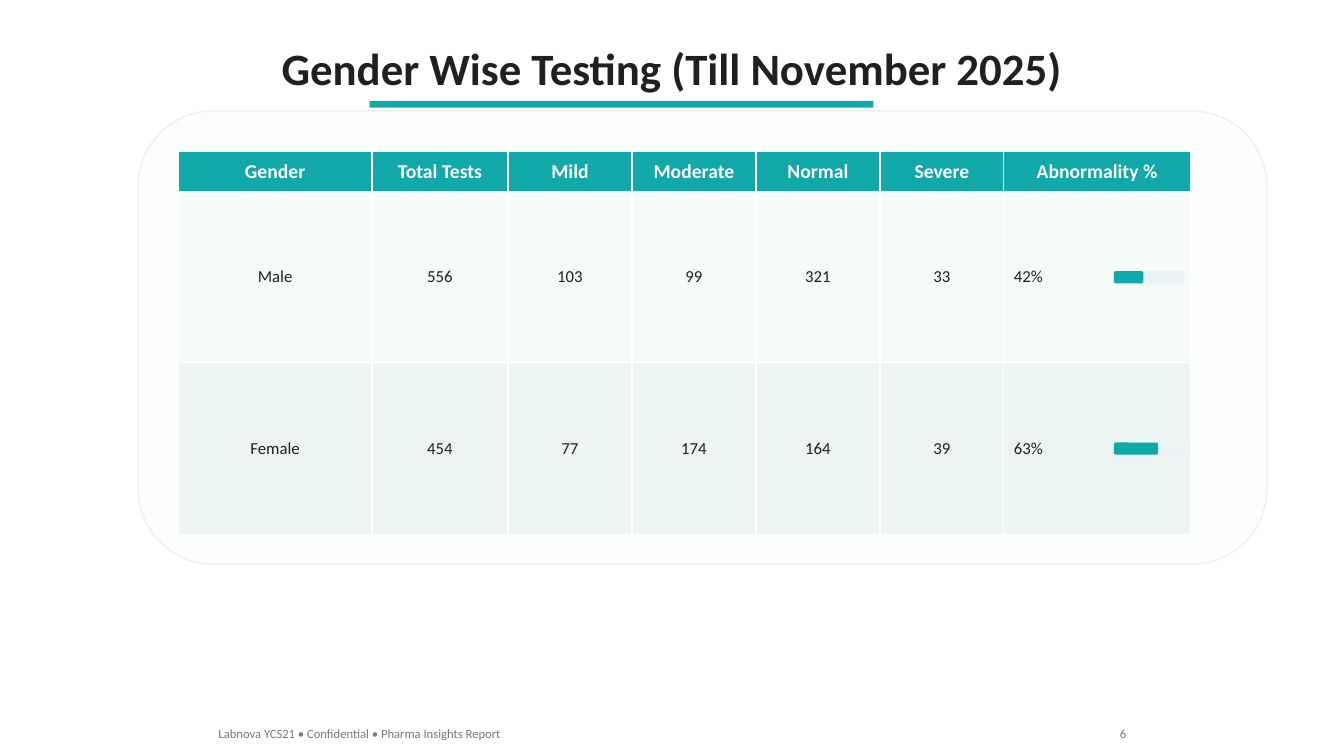
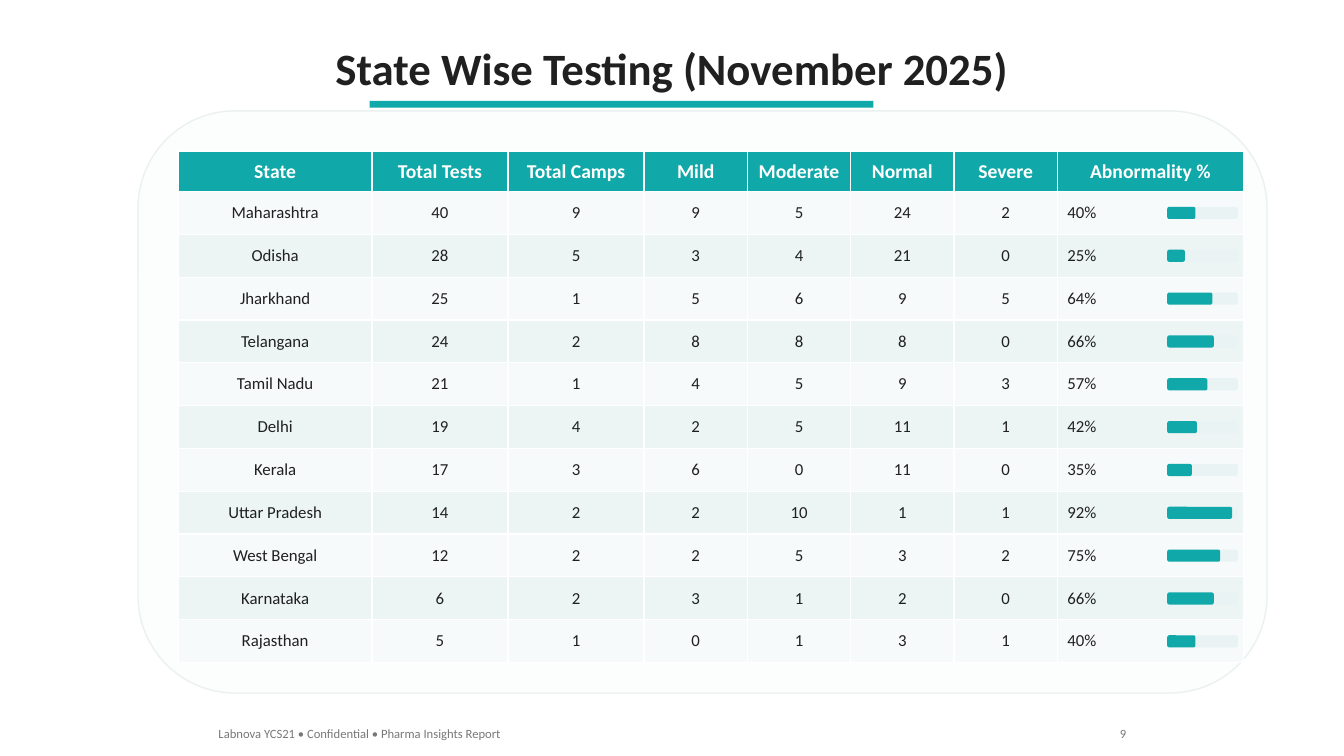
from pptx import Presentation
from pptx.dml.color import RGBColor
from pptx.enum.shapes import MSO_SHAPE
from pptx.enum.text import MSO_ANCHOR, MSO_AUTO_SIZE, PP_ALIGN
from pptx.util import Pt

WIDTH, HEIGHT = 960, 540
FONT = "Calibri"
TEAL, INK, GREY, WHITE = "10A8A8", "202020", "787878", "FFFFFF"
CARD, EDGE, TRACK = "FCFDFD", "EBF0F0", "EAF3F3"
BANDS = "F6FAFA", "ECF4F4"
FOOTER = "Labnova YCS21 • Confidential • Pharma Insights Report"

CARD_X, CARD_Y, CARD_W = 98.64, 79.2, 806.4
PAD, PAD_END = 28.8, 21.6
HEAD_H = 28.8
BAR_W, BAR_H, BAR_GAP = 50.4, 8.64, 4.32
NAME_W, TOTAL_W, RATE_W = 138.24, 97.2, 133.2

GENDERS = [
    ["Gender", "Total Tests", "Mild", "Moderate", "Normal", "Severe", "Abnormality %"],
    ["Male", 556, 103, 99, 321, 33, "42%"],
    ["Female", 454, 77, 174, 164, 39, "63%"],
]
STATES = [
    ["State", "Total Tests", "Total Camps", "Mild", "Moderate", "Normal", "Severe",
     "Abnormality %"],
    ["Maharashtra", 40, 9, 9, 5, 24, 2, "40%"],
    ["Odisha", 28, 5, 3, 4, 21, 0, "25%"],
    ["Jharkhand", 25, 1, 5, 6, 9, 5, "64%"],
    ["Telangana", 24, 2, 8, 8, 8, 0, "66%"],
    ["Tamil Nadu", 21, 1, 4, 5, 9, 3, "57%"],
    ["Delhi", 19, 4, 2, 5, 11, 1, "42%"],
    ["Kerala", 17, 3, 6, 0, 11, 0, "35%"],
    ["Uttar Pradesh", 14, 2, 2, 10, 1, 1, "92%"],
    ["West Bengal", 12, 2, 2, 5, 3, 2, "75%"],
    ["Karnataka", 6, 2, 3, 1, 2, 0, "66%"],
    ["Rajasthan", 5, 1, 0, 1, 3, 1, "40%"],
]


def paint(target, color):
    """Give a shape or a cell a solid fill."""
    target.fill.solid()
    target.fill.fore_color.rgb = RGBColor.from_string(color)


def write(frame, text, size, color, bold=False, align=PP_ALIGN.LEFT):
    frame.text = str(text)
    para = frame.paragraphs[0]
    para.alignment = align
    font = para.runs[0].font
    font.name, font.size, font.bold = FONT, Pt(size), bold
    font.color.rgb = RGBColor.from_string(color)


def add_box(slide, kind, x, y, w, h, fill, line=None):
    box = slide.shapes.add_shape(kind, Pt(x), Pt(y), Pt(w), Pt(h))
    box.shadow.inherit = False
    paint(box, fill)
    if line:
        box.line.color.rgb = RGBColor.from_string(line)
        box.line.width = Pt(1)
    else:
        box.line.fill.background()


def add_title(slide, text):
    title = slide.shapes.title
    title.left, title.top, title.width, title.height = Pt(48), Pt(25.2), Pt(WIDTH - 96), Pt(46)
    frame = title.text_frame
    frame.auto_size = MSO_AUTO_SIZE.NONE
    frame.vertical_anchor = MSO_ANCHOR.MIDDLE
    write(frame, text, 32, INK, True, PP_ALIGN.CENTER)
    add_box(slide, MSO_SHAPE.RECTANGLE, 264, 72, 360, 5, TEAL)


def add_footer(slide, page):
    for text, x, w, align in ((FOOTER, 149, 260, PP_ALIGN.LEFT),
                              (page, 771.5, 40, PP_ALIGN.RIGHT)):
        box = slide.shapes.add_textbox(Pt(x), Pt(514.8), Pt(w), Pt(18))
        box.text_frame.word_wrap = True
        write(box.text_frame, text, 9, GREY, align=align)


def add_grid(slide, x, y, rows, widths, row_h):
    high = HEAD_H + row_h * (len(rows) - 1)
    grid = slide.shapes.add_table(len(rows), len(widths), Pt(x), Pt(y),
                                  Pt(sum(widths)), Pt(high)).table
    for col, width in zip(grid.columns, widths):
        col.width = Pt(width)
    for r, row in enumerate(rows):
        grid.rows[r].height = Pt(row_h if r else HEAD_H)
        for c, text in enumerate(row):
            cell = grid.cell(r, c)
            cell.vertical_anchor = MSO_ANCHOR.MIDDLE
            paint(cell, BANDS[(r - 1) % 2] if r else TEAL)
            last = r and c == len(row) - 1
            align = PP_ALIGN.LEFT if last else PP_ALIGN.CENTER
            size, color = (12, INK) if r else (14, WHITE)
            write(cell.text_frame, text, size, color, not r, align)


def add_bars(slide, right, y, rates, row_h):
    """Centre one progress bar in each row, ending just inside the right edge."""
    x = right - BAR_GAP - BAR_W
    for i, rate in enumerate(rates):
        top = y + row_h * (i + 0.5) - BAR_H / 2
        share = int(rate.rstrip("%")) / 100
        for width, color in ((BAR_W, TRACK), (BAR_W * share, TEAL)):
            add_box(slide, MSO_SHAPE.ROUNDED_RECTANGLE, x, top, width, BAR_H, color)


def add_report(deck, title, rows, widths, row_h, page):
    slide = deck.slides.add_slide(deck.slide_layouts[5])
    add_title(slide, title)
    high = HEAD_H + row_h * (len(rows) - 1)
    add_box(slide, MSO_SHAPE.ROUNDED_RECTANGLE, CARD_X, CARD_Y, CARD_W,
            PAD + high + PAD_END, CARD, EDGE)
    x, y = CARD_X + PAD, CARD_Y + PAD
    add_grid(slide, x, y, rows, widths, row_h)
    rates = [row[-1] for row in rows[1:]]
    add_bars(slide, x + sum(widths), y + HEAD_H, rates, row_h)
    add_footer(slide, page)


def main():
    deck = Presentation()
    deck.slide_width, deck.slide_height = Pt(WIDTH), Pt(HEIGHT)
    add_report(deck, "Gender Wise Testing (Till November 2025)", GENDERS,
               [NAME_W, TOTAL_W] + [88.56] * 4 + [RATE_W], 122.4, 6)
    add_report(deck, "State Wise Testing (November 2025)", STATES,
               [NAME_W] + [TOTAL_W] * 2 + [73.8] * 4 + [RATE_W], 30.6, 9)
    deck.save("out.pptx")


if __name__ == "__main__":
    main()
